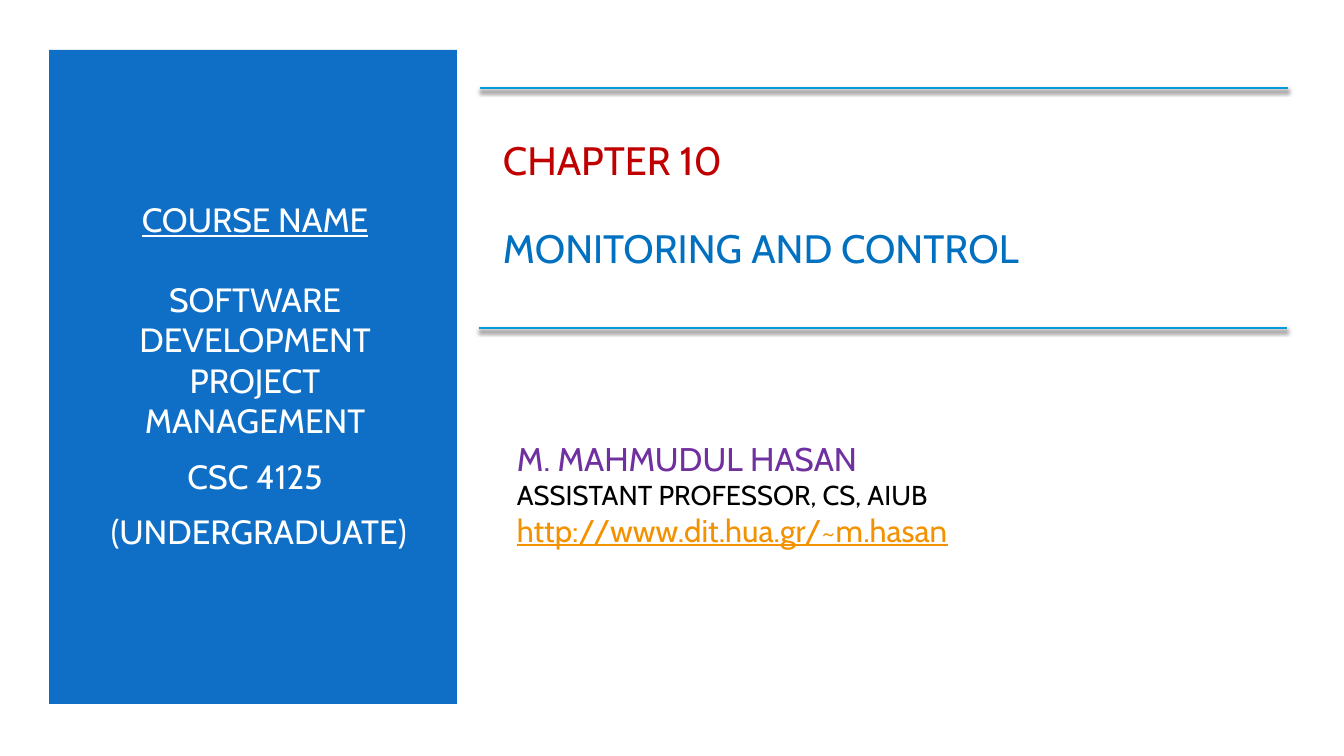
from lxml import etree
from pptx import Presentation
from pptx.dml.color import RGBColor
from pptx.enum.shapes import MSO_CONNECTOR, MSO_SHAPE
from pptx.enum.text import MSO_ANCHOR, PP_ALIGN
from pptx.oxml.ns import qn
from pptx.util import Emu, Pt

RECTANGLE = MSO_SHAPE.RECTANGLE
STRAIGHT = MSO_CONNECTOR.STRAIGHT
MIDDLE = MSO_ANCHOR.MIDDLE
LEFT, CENTER = PP_ALIGN.LEFT, PP_ALIGN.CENTER

EMU_PER_PX = 914400 / 100.8
FONT = "Cabin"
COLORS = {
    "white": "FFFFFF",
    "panel": "0F6FC6",
    "rule": "009DD9",
    "shadow": "000000",
    "chapter": "C00000",
    "topic": "0070C0",
    "author": "7030A0",
    "role": "000000",
    "link": "F49100",
}


def px(length):
    return Emu(round(length * EMU_PER_PX))


def color(name):
    return RGBColor.from_string(COLORS[name])


def add_panel(slide, left, top, width, height, fill):
    shape = slide.shapes.add_shape(RECTANGLE, px(left), px(top), px(width), px(height))
    shape.shadow.inherit = False
    shape.fill.solid()
    shape.fill.fore_color.rgb = color(fill)
    shape.line.fill.background()


def add_text(slide, left, top, width, height, lines, align=LEFT):
    """Each line is (text, size, color name, underlined, space before in points)."""
    box = slide.shapes.add_textbox(px(left), px(top), px(width), px(height))
    text_frame = box.text_frame
    text_frame.word_wrap = True
    text_frame.vertical_anchor = MIDDLE
    text_frame.text = "\n".join(line[0] for line in lines)
    for paragraph, (_, size, color_name, underlined, space) in zip(text_frame.paragraphs, lines):
        paragraph.alignment = align
        if space:
            paragraph.space_before = Pt(space)
        for run in paragraph.runs:
            run.font.name = FONT
            run.font.size = Pt(size)
            run.font.color.rgb = color(color_name)
            run.font.underline = underlined


def add_shadowed_rule(slide, left, top, width):
    rule = slide.shapes.add_connector(STRAIGHT, px(left), px(top), px(left + width), px(top))
    rule.line.color.rgb = color("rule")
    rule.line.width = Pt(2)
    effects = etree.SubElement(rule._element.spPr, qn("a:effectLst"))
    shadow = etree.SubElement(
        effects, qn("a:outerShdw"),
        blurRad=str(Pt(3)), dist=str(Pt(2)), dir="5400000", rotWithShape="0",
    )
    shade = etree.SubElement(shadow, qn("a:srgbClr"), val=COLORS["shadow"])
    etree.SubElement(shade, qn("a:alpha"), val="55000")


def main():
    presentation = Presentation()
    presentation.slide_width = px(1344)
    presentation.slide_height = px(756)
    slide = presentation.slides.add_slide(presentation.slide_layouts[6])
    slide.background.fill.solid()
    slide.background.fill.fore_color.rgb = color("white")

    add_panel(slide, 49, 50, 408, 654, "panel")
    add_text(slide, 85, 111, 340, 529, [
        ("COURSE NAME", 24, "white", True, 0),
        ("SOFTWARE DEVELOPMENT PROJECT MANAGEMENT", 24, "white", False, 28),
        ("CSC 4125", 24, "white", False, 11),
        (" (UNDERGRADUATE)", 24, "white", False, 11),
    ], CENTER)
    add_text(slide, 493, 111, 791, 185, [
        ("CHAPTER 10", 28.3, "chapter", False, 0),
        ("MONITORING AND CONTROL", 28.3, "topic", False, 29),
    ])
    add_text(slide, 507, 415, 671, 157, [
        ("M. MAHMUDUL HASAN", 23.4, "author", False, 0),
        ("ASSISTANT PROFESSOR, CS, AIUB", 19.5, "role", False, 0),
        ("http://www.dit.hua.gr/~m.hasan", 22.4, "link", True, 0),
    ])
    for left, top in ((480, 88), (479, 328)):
        add_shadowed_rule(slide, left, top, 808)

    presentation.save("out.pptx")


if __name__ == "__main__":
    main()
